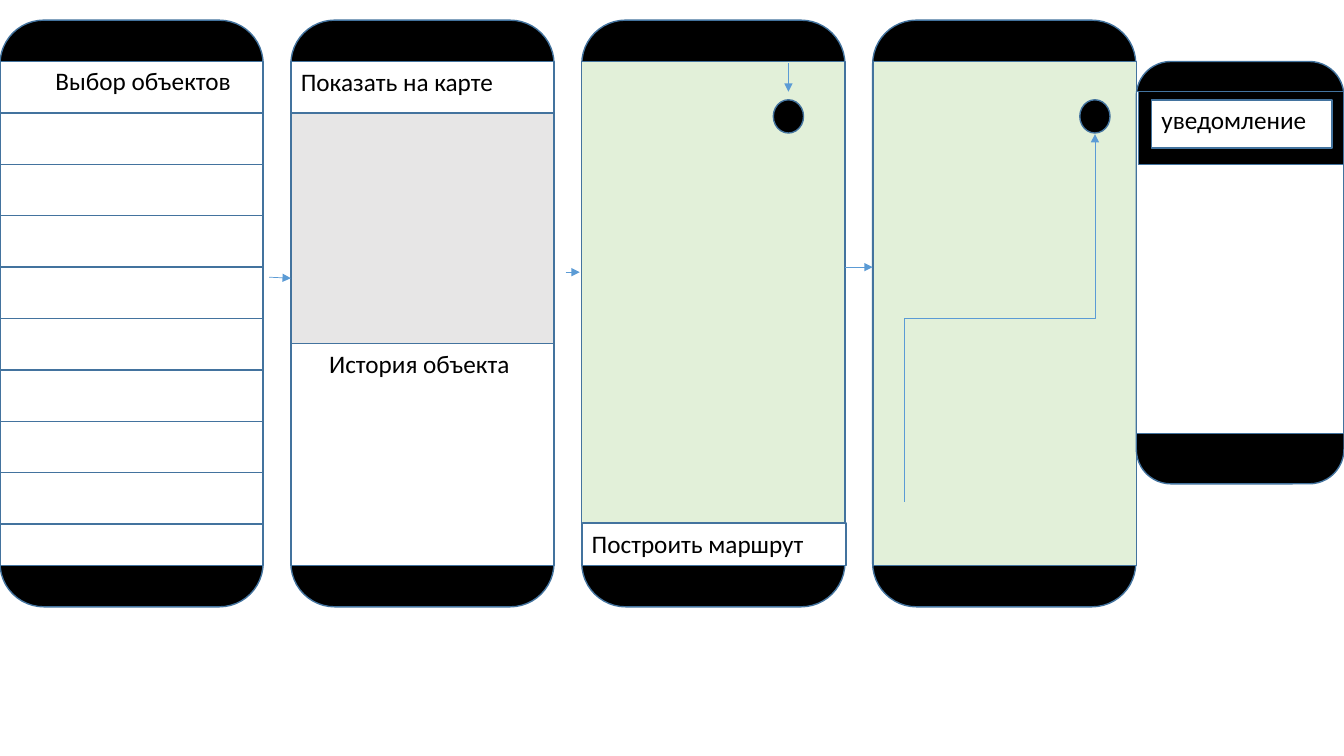
"""Builds a slide with five phone screens of a map app, joined by arrows."""
from lxml.etree import SubElement
from pptx import Presentation
from pptx.dml.color import RGBColor
from pptx.enum.shapes import MSO_CONNECTOR, MSO_SHAPE
from pptx.enum.text import MSO_AUTO_SIZE
from pptx.oxml.ns import qn
from pptx.util import Inches, Pt

THEME = {
    "font": "Calibri", "text_size": 18, "outline_width": 1, "arrow_width": 0.5,
    "black": RGBColor(0x00, 0x00, 0x00), "white": RGBColor(0xFF, 0xFF, 0xFF),
    "gray": RGBColor(0xE7, 0xE6, 0xE6), "green": RGBColor(0xE2, 0xF0, 0xD9),
    "outline": RGBColor(0x43, 0x73, 0x9E), "arrow": RGBColor(0x5B, 0x9B, 0xD5),
}
PHONE_TOP, PHONE_WIDTH, PHONE_HEIGHT = 0.2, 2.61, 5.82
SCREEN_TOP, SCREEN_BOTTOM, ROW = 0.61, 5.61, 0.51
SCREEN_HEIGHT = SCREEN_BOTTOM - SCREEN_TOP
LIST_LEFT, DETAILS_LEFT, MAP_LEFT, ROUTE_LEFT = [column * 2.885 for column in range(4)]
ALERT_LEFT, ALERT_WIDTH = 11.27, 2.06
HISTORY_TOP, BUTTON_TOP = 3.41, 5.19

deck = Presentation()
deck.slide_width, deck.slide_height = Inches(13.33), Inches(7.5)
page = deck.slides.add_slide(deck.slide_layouts[6])


def add_block(left, top, width, height, fill, kind=MSO_SHAPE.RECTANGLE):
    block = page.shapes.add_shape(kind, Inches(left), Inches(top), Inches(width), Inches(height))
    block.shadow.inherit = False
    block.fill.solid()
    block.fill.fore_color.rgb = THEME[fill]
    block.line.color.rgb = THEME["outline"]
    block.line.width = Pt(THEME["outline_width"])


def add_arrow(kind, *ends):
    arrow = page.shapes.add_connector(kind, *[Inches(end) for end in ends])
    arrow.line.color.rgb = THEME["arrow"]
    arrow.line.width = Pt(THEME["arrow_width"])
    properties = arrow._element.spPr
    SubElement(properties.find(qn("a:ln")), qn("a:tailEnd"), type="triangle")
    SubElement(properties, qn("a:effectLst"))
    return arrow


for phone_left in (LIST_LEFT, DETAILS_LEFT, MAP_LEFT, ROUTE_LEFT):
    add_block(phone_left, PHONE_TOP, PHONE_WIDTH, PHONE_HEIGHT, "black", MSO_SHAPE.ROUNDED_RECTANGLE)

for row in range(10):
    row_top = SCREEN_TOP + row * ROW
    add_block(LIST_LEFT, row_top, PHONE_WIDTH, min(ROW, SCREEN_BOTTOM - row_top), "white")

photo_top = SCREEN_TOP + ROW
add_block(DETAILS_LEFT, photo_top, PHONE_WIDTH, HISTORY_TOP - photo_top, "gray")
add_block(DETAILS_LEFT, SCREEN_TOP, PHONE_WIDTH, ROW, "white")
add_block(DETAILS_LEFT, HISTORY_TOP, PHONE_WIDTH, SCREEN_BOTTOM - HISTORY_TOP, "white")

for map_left, marker_left in ((MAP_LEFT, 7.67), (ROUTE_LEFT + 0.01, 10.71)):
    add_block(map_left, SCREEN_TOP, PHONE_WIDTH, SCREEN_HEIGHT, "green")
    add_block(marker_left, 0.99, 0.3, 0.33, "black", MSO_SHAPE.OVAL)
add_block(MAP_LEFT + 0.01, BUTTON_TOP, PHONE_WIDTH, SCREEN_BOTTOM - BUTTON_TOP, "white")

add_block(ALERT_LEFT, SCREEN_TOP, ALERT_WIDTH, 4.19, "black", MSO_SHAPE.ROUNDED_RECTANGLE)
add_block(ALERT_LEFT, 0.91, ALERT_WIDTH, 3.39, "white")
add_block(ALERT_LEFT + 0.02, 0.91, ALERT_WIDTH - 0.02, 0.72, "black")
add_block(ALERT_LEFT + 0.15, 0.99, 1.79, 0.48, "white")

labels = [
    ("уведомление", ALERT_LEFT + 0.15, 0.99, 1.79, 0),
    ("Построить маршрут", MAP_LEFT, BUTTON_TOP, PHONE_WIDTH, 0),
    ("Показать на карте", DETAILS_LEFT, SCREEN_TOP, PHONE_WIDTH, 0),
    ("История объекта", DETAILS_LEFT, HISTORY_TOP, PHONE_WIDTH, 0.28),
    ("Выбор объектов", LIST_LEFT, SCREEN_TOP - 0.01, PHONE_WIDTH, 0.45),
]
for text, left, top, width, indent in labels:
    box = page.shapes.add_textbox(Inches(left), Inches(top), Inches(width), Inches(0.4))
    frame = box.text_frame
    frame.word_wrap = True
    frame.auto_size = MSO_AUTO_SIZE.SHAPE_TO_FIT_TEXT
    frame.margin_left = Inches(0.1 + indent)
    frame.text = text
    span = frame.paragraphs[0].runs[0]
    span.font.name = THEME["font"]
    span.font.size = Pt(THEME["text_size"])
    span.font.color.rgb = THEME["black"]

for ends in (
    (7.82, 0.63, 7.82, 0.91),
    (2.67, 2.75, DETAILS_LEFT, 2.76),
    (5.61, 2.7, 5.75, 2.7),
    (MAP_LEFT + PHONE_WIDTH, 2.65, ROUTE_LEFT, 2.65),
):
    add_arrow(MSO_CONNECTOR.STRAIGHT, *ends)

route = add_arrow(MSO_CONNECTOR.ELBOW, 11.74, 4.1, 8.09, 2.21)
route._element.spPr.find(qn("a:xfrm")).set("rot", "5400000")

deck.save("out.pptx")
